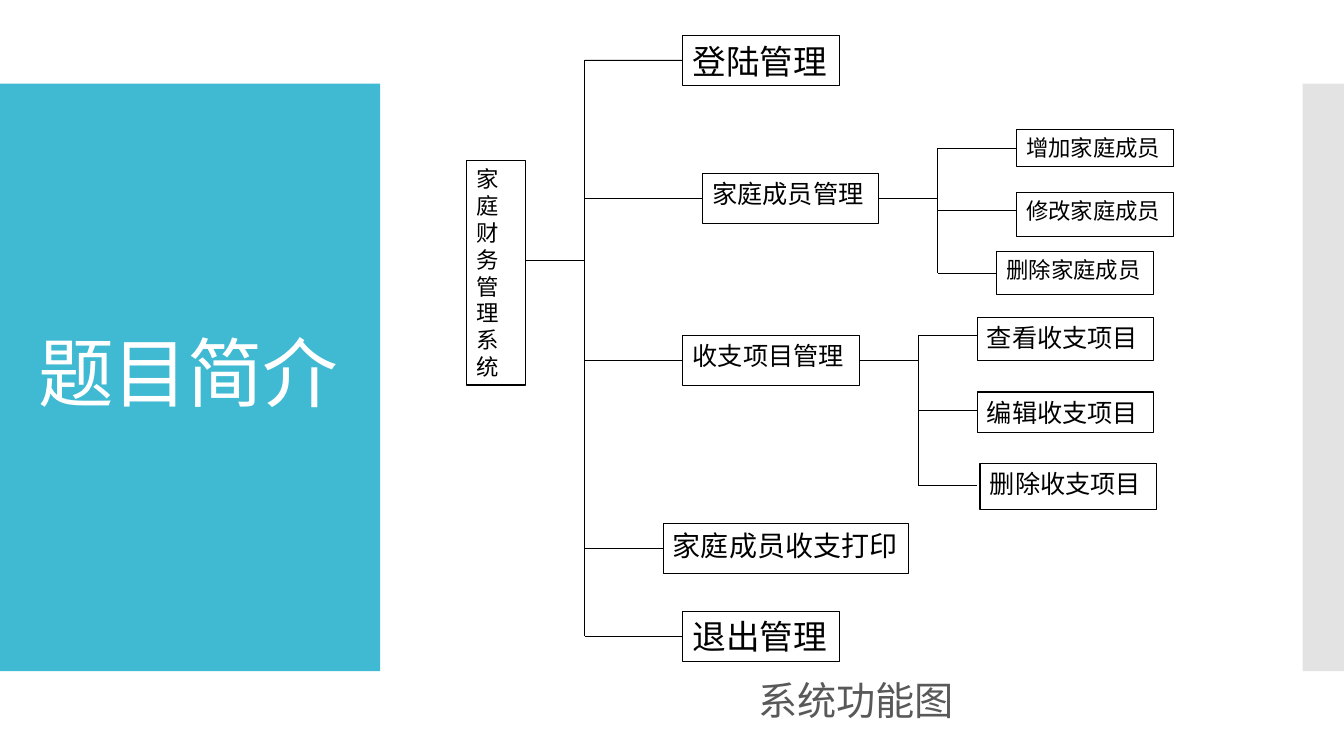
from lxml import etree
from pptx import Presentation
from pptx.dml.color import RGBColor
from pptx.enum.shapes import MSO_CONNECTOR, MSO_SHAPE
from pptx.enum.text import MSO_ANCHOR, PP_ALIGN
from pptx.oxml.ns import qn
from pptx.util import Inches, Pt

RECT = MSO_SHAPE.RECTANGLE
STRAIGHT = MSO_CONNECTOR.STRAIGHT
MIDDLE, TOP = MSO_ANCHOR.MIDDLE, MSO_ANCHOR.TOP
LEFT, JUSTIFY = PP_ALIGN.LEFT, PP_ALIGN.JUSTIFY
LEFT_SIDE, RIGHT_SIDE = 1, 3

# Diagram grid: column 0 is the root's left edge, row 0 the first branch
X0, Y0 = 4.63, 0.6
COL, ROW = 5.45 / 28, 5.71 / 23
SPINE = 6
ROOT_ROW = 8

# Branch: text, size, column, row, width in columns, leaf spine column, leaves
# Leaf: text, size, column, line row, top row, width, height
BRANCHES = [
    ("登陆管理", 24, 11, 0, 8, None, []),
    ("家庭成员管理", 18, 12, 5.5, 9, 24, [
        ("增加家庭成员", 16, 28, 3.5, 2.75, 8, 1.5),
        ("修改家庭成员", 16, 28, 6, 5.28, 8, 1.74),
        ("删除家庭成员", 16, 27, 8.5, 7.63, 8, 1.74),
    ]),
    ("收支项目管理", 18, 11, 12, 9, 23, [
        ("查看收支项目", 18, 26, 11, 10.27, 9, 1.74),
        ("编辑收支项目", 18, 26, 14, 13.25, 9, 1.62),
        ("删除收支项目", 18, 26.15, 17, 16.1, 9, 1.86),
    ]),
    ("家庭成员收支打印", 20, 10, 19.5, 12.5, None, []),
    ("退出管理", 24, 11, 23, 8, None, []),
]

prs = Presentation()
prs.slide_width, prs.slide_height = Inches(13.33), Inches(7.5)
s = prs.slides.add_slide(prs.slide_layouts[6])


def add_box(at, fill=None, line=None, text="", size=18, font="Arial",
            color="000000", align=JUSTIFY, anchor=TOP, spacing=1.0):
    """Add a rectangle, or a text box when there is no fill; at is in inches."""
    at = [Inches(v) for v in at]
    if fill:
        sp = s.shapes.add_shape(RECT, *at)
        sp.shadow.inherit = False
        sp.fill.solid()
        sp.fill.fore_color.rgb = RGBColor.from_string(fill)
        if line:
            sp.line.color.rgb = RGBColor.from_string(line)
            sp.line.width = Pt(0.75)
        else:
            sp.line.fill.background()
    else:
        sp = s.shapes.add_textbox(*at)
    if text:
        tf = sp.text_frame
        tf.word_wrap, tf.vertical_anchor = True, anchor
        p = tf.paragraphs[0]
        p.alignment, p.line_spacing = align, spacing
        r = p.add_run()
        r.text = text
        for name, value in {"size": Pt(size), "name": font}.items():
            setattr(r.font, name, value)
        r.font.color.rgb = RGBColor.from_string(color)
    return sp


def add_line(c1, r1, c2, r2, begin=None, end=None):
    """Join two grid points; begin and end are boxes to attach to."""
    cx = s.shapes.add_connector(
        STRAIGHT, Inches(X0 + c1 * COL), Inches(Y0 + r1 * ROW),
        Inches(X0 + c2 * COL), Inches(Y0 + r2 * ROW))
    cx.line.color.rgb = RGBColor.from_string("000000")
    cx.line.width = Pt(0.75)
    if begin is not None:
        cx.begin_connect(begin, RIGHT_SIDE)
    if end is not None:
        cx.end_connect(end, LEFT_SIDE)
    etree.SubElement(cx._element.spPr, qn("a:effectLst"))


# Side panels, title and caption
add_box((0, 0.83, 3.77, 5.83), "40BAD2")
side = add_box((12.92, 0.83, 0.41, 5.83), "C8C8C8")
side_color = side._element.spPr.find(qn("a:solidFill"))[0]
etree.SubElement(side_color, qn("a:alpha"), val="50000")

heading = {"font": "Calibri", "align": LEFT, "anchor": MIDDLE, "spacing": 0.9}
title = add_box((0.28, 1.23, 3.22, 5.03), text="题目简介", size=54,
                color="FFFFFF", **heading)
title.text_frame.paragraphs[0].runs[0]._r.get_or_add_rPr().set("spc", "-60")
add_box((7.42, 6.6, 2.21, 0.74), text="系统功能图", size=28,
        color="595959", **heading)

# Root and main spine
boxed = {"fill": "FFFFFF", "line": "000000"}
add_box((X0, 1.59, 3 * COL, 2.23), text="家庭财务管理系统", size=16, **boxed)
add_line(3, ROOT_ROW, SPINE, ROOT_ROW)
add_line(SPINE, BRANCHES[0][3], SPINE, BRANCHES[-1][3])

# Branches and their leaves
for text, size, col, row, width, leaf_spine, leaves in BRANCHES:
    branch = add_box((X0 + col * COL, Y0 + (row - 1) * ROW, width * COL, 2 * ROW),
                     text=text, size=size, **boxed)
    add_line(SPINE, row, col, row, end=branch)
    if leaves:
        add_line(col + width, row, leaf_spine, row, begin=branch)
        add_line(leaf_spine, leaves[0][3], leaf_spine, leaves[-1][3])
    for text, size, col, row, top, width, height in leaves:
        leaf = add_box((X0 + col * COL, Y0 + top * ROW, width * COL, height * ROW),
                       text=text, size=size, **boxed)
        centred = abs(top + height / 2 - row) < 0.01
        add_line(leaf_spine, row, int(col), row, end=leaf if centred else None)

prs.save("out.pptx")
